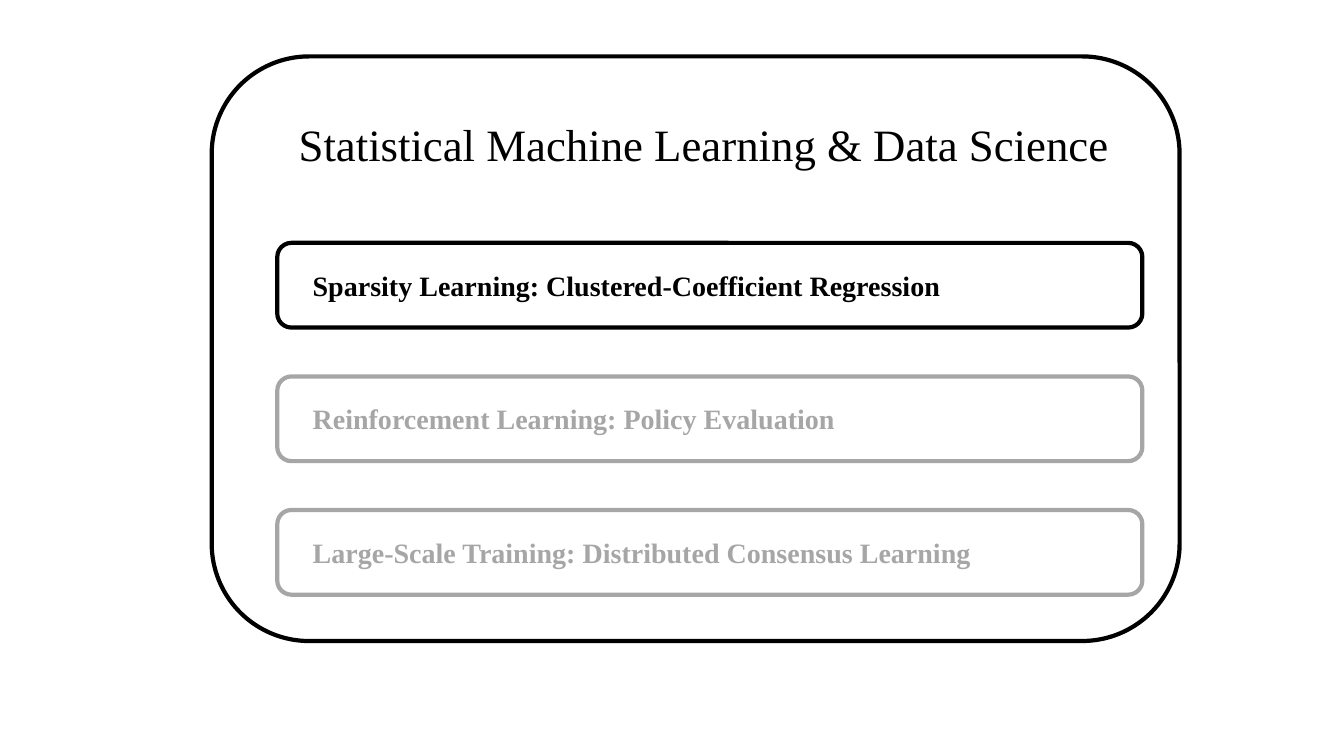
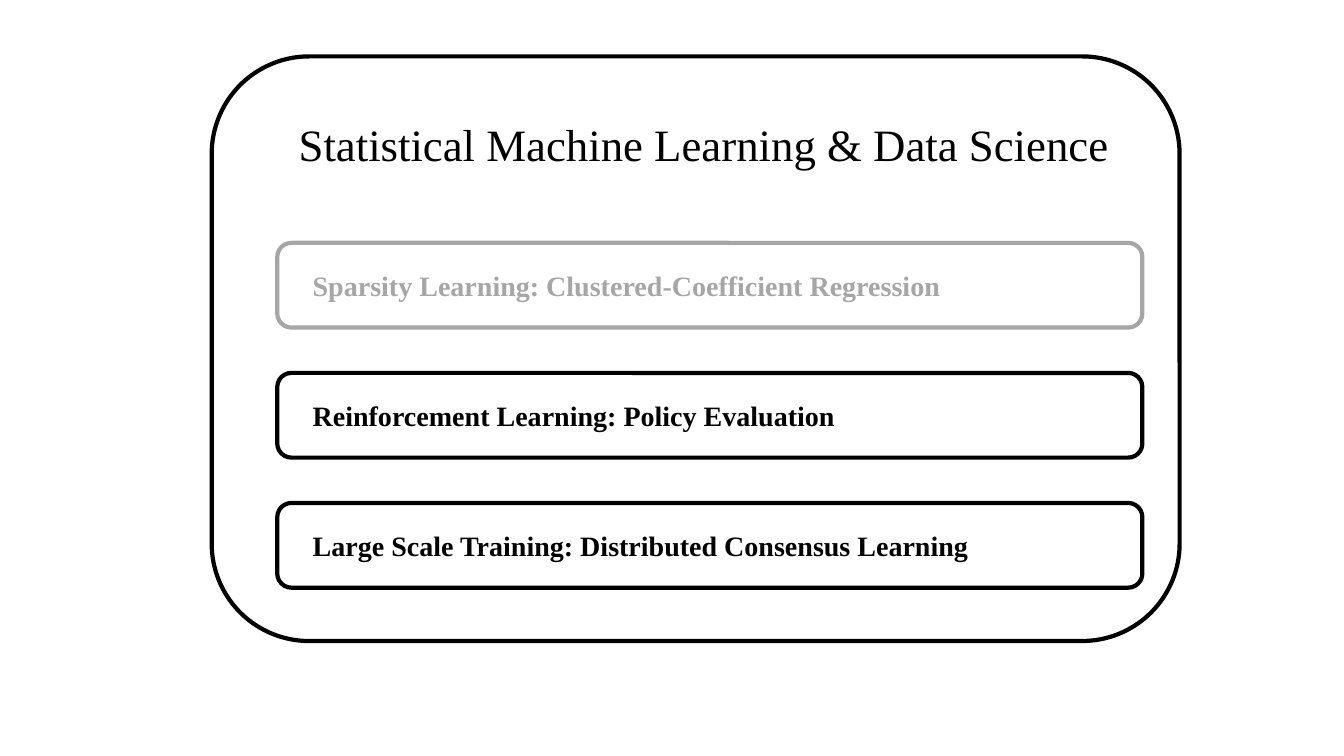
from pptx import Presentation
from pptx.dml.color import RGBColor
from pptx.enum import shapes, text
from pptx.util import Inches, Pt

FONT = "Times New Roman"
BLACK, GREY, WHITE = "000000", "A6A6A6", "FFFFFF"
TITLE = "Statistical Machine Learning & Data Science"

# Shared column for the title and the topic boxes
LEFT, WIDTH = 2.75, 8.58
TOPIC_TOP, TOPIC_HEIGHT = 2.41, 0.84

# Each slide: distance between topic tops, then (topic, colour) pairs
SLIDES = [
    (1.325, [
        ("Sparsity Learning: Clustered-Coefficient Regression", BLACK),
        ("Reinforcement Learning: Policy Evaluation", GREY),
        ("Large-Scale Training: Distributed Consensus Learning", GREY),
    ]),
    (1.29, [
        ("Sparsity Learning: Clustered-Coefficient Regression", GREY),
        ("Reinforcement Learning: Policy Evaluation", BLACK),
        ("Large Scale Training: Distributed Consensus Learning", BLACK),
    ]),
]


def rgb(color):
    return RGBColor.from_string(color)


def write(sp, content, size, color=BLACK, bold=False,
          align=text.PP_ALIGN.LEFT, anchor=text.MSO_ANCHOR.TOP,
          left=0.1, right=0.1):
    """Put one formatted paragraph into a shape; insets are in inches."""
    tf = sp.text_frame
    tf.word_wrap = True
    tf.vertical_anchor = anchor
    tf.margin_left, tf.margin_right = Inches(left), Inches(right)
    p = tf.paragraphs[0]
    p.alignment = align
    r = p.add_run()
    r.text = content
    r.font.name = FONT
    r.font.size = Pt(size)
    r.font.bold = bold
    r.font.color.rgb = rgb(color)


def add_rounded_box(s, x, y, w, h, color=BLACK):
    sp = s.shapes.add_shape(shapes.MSO_SHAPE.ROUNDED_RECTANGLE,
                            Inches(x), Inches(y), Inches(w), Inches(h))
    sp.shadow.inherit = False
    sp.fill.solid()
    sp.fill.fore_color.rgb = rgb(WHITE)
    sp.line.color.rgb = rgb(color)
    sp.line.width = Pt(3)
    return sp


def add_title(s):
    sp = s.shapes.add_textbox(Inches(LEFT), Inches(1.11),
                              Inches(WIDTH), Inches(0.64))
    # The wider right inset sets the title slightly left of centre
    write(sp, TITLE, 32, align=text.PP_ALIGN.CENTER, right=0.21)


def add_topic(s, y, topic, color):
    sp = add_rounded_box(s, LEFT, y, WIDTH, TOPIC_HEIGHT, color)
    write(sp, topic, 20, color=color, bold=True,
          anchor=text.MSO_ANCHOR.MIDDLE, left=0.31)


def add_outline_slide(prs, pitch, topics):
    s = prs.slides.add_slide(prs.slide_layouts[6])
    add_rounded_box(s, 2.1, 0.56, 9.6, 5.8)  # outer frame
    add_title(s)
    for i, (topic, color) in enumerate(topics):
        add_topic(s, TOPIC_TOP + i * pitch, topic, color)


def main():
    prs = Presentation()
    prs.slide_width, prs.slide_height = Inches(13.33), Inches(7.5)
    for pitch, topics in SLIDES:
        add_outline_slide(prs, pitch, topics)
    prs.save("out.pptx")


if __name__ == "__main__":
    main()
